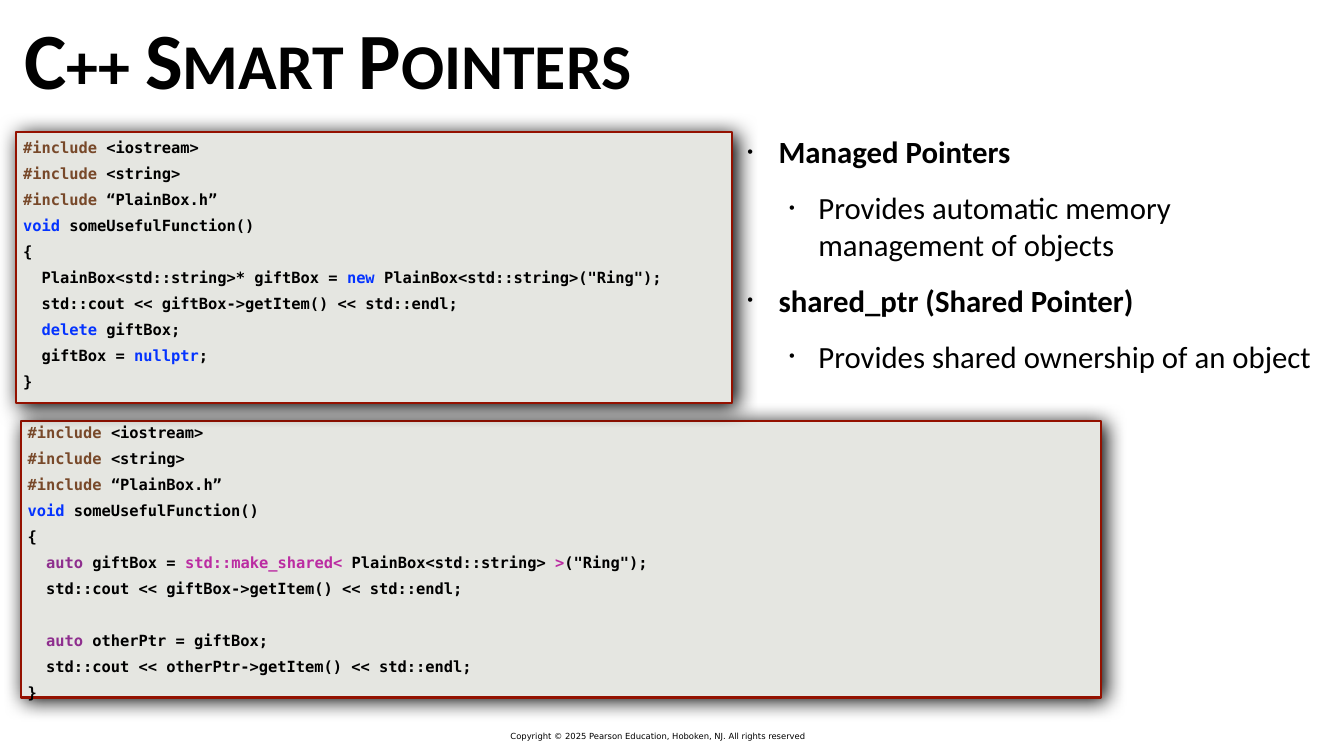
from dataclasses import dataclass

from lxml.etree import SubElement
from pptx import Presentation
from pptx.dml.color import RGBColor as Color
from pptx.enum.shapes import MSO_SHAPE as Preset
from pptx.enum.text import MSO_ANCHOR as Anchor, MSO_AUTO_SIZE as AutoSize, PP_ALIGN as Align
from pptx.oxml.ns import qn
from pptx.util import Pt


@dataclass(frozen=True)
class Theme:
    ink: str = "000000"
    directive: str = "78492A"
    keyword: str = "0433FF"
    auto: str = "8E2E8E"
    library: str = "BB2CA2"
    panel: str = "E5E6E1"
    border: str = "941100"
    text_font: str = "Calibri"
    code_font: str = "DejaVu Sans Mono"
    footer_font: str = "DejaVu Sans"
    title_size: int = 114
    body_size: int = 44
    code_size: int = 22
    footer_size: int = 12


THEME = Theme()
INSET = 5.76

HEADER = [
    [("#include ", THEME.directive), ("<iostream>", THEME.ink)],
    [("#include ", THEME.directive), ("<string>", THEME.ink)],
    [("#include ", THEME.directive), ("“PlainBox.h”", THEME.ink)],
    [("void ", THEME.keyword), ("someUsefulFunction()", THEME.ink)],
    [("{", THEME.ink)],
]
PRINT_GIFT = [("  std::cout << giftBox->getItem() << std::endl;", THEME.ink)]
FOOTER_BRACE = [("}", THEME.ink)]

RAW_POINTER_CODE = [
    *HEADER,
    [("  PlainBox<std::string>* giftBox = ", THEME.ink), ("new ", THEME.keyword),
     ('PlainBox<std::string>("Ring");', THEME.ink)],
    PRINT_GIFT,
    [("  delete ", THEME.keyword), ("giftBox;", THEME.ink)],
    [("  giftBox = ", THEME.ink), ("nullptr", THEME.keyword), (";", THEME.ink)],
    FOOTER_BRACE,
]
SHARED_POINTER_CODE = [
    *HEADER,
    [("  auto ", THEME.auto), ("giftBox = ", THEME.ink),
     ("std::make_shared< ", THEME.library), ("PlainBox<std::string> ", THEME.ink),
     (">", THEME.library), ('("Ring");', THEME.ink)],
    PRINT_GIFT,
    [],
    [("  auto ", THEME.auto), ("otherPtr = giftBox;", THEME.ink)],
    [("  std::cout << otherPtr->getItem() << std::endl;", THEME.ink)],
    FOOTER_BRACE,
]
BULLETS = [
    (0, "Managed Pointers"),
    (1, "Provides automatic memory management of objects"),
    (0, "shared_ptr (Shared Pointer)"),
    (1, "Provides shared ownership of an object"),
]


def apply(target, values):
    for name, value in values.items():
        setattr(target, name, value)


def place(box, left, top, width, height):
    apply(box, {"left": Pt(left), "top": Pt(top), "width": Pt(width), "height": Pt(height)})


def prepare_frame(box, anchor=Anchor.TOP, side=INSET, edge=INSET):
    frame = box.text_frame
    apply(frame, {
        "word_wrap": True, "auto_size": AutoSize.NONE, "vertical_anchor": anchor,
        "margin_left": Pt(side), "margin_right": Pt(side),
        "margin_top": Pt(edge), "margin_bottom": Pt(edge),
    })
    return frame


def add_span(para, text, font, size, color=THEME.ink, bold=False):
    span = para.add_run()
    span.text = text
    apply(span.font, {"name": font, "size": Pt(size), "bold": bold})
    span.font.color.rgb = Color.from_string(color)
    return span


def next_para(frame, index, gap):
    if index == 0:
        return frame.paragraphs[0]
    para = frame.add_paragraph()
    para.space_before = Pt(gap)
    return para


def add_panel(page, *area):
    panel = page.shapes.add_shape(Preset.RECTANGLE, *map(Pt, area))
    panel.fill.solid()
    panel.fill.fore_color.rgb = Color.from_string(THEME.panel)
    panel.line.color.rgb = Color.from_string(THEME.border)
    panel.line.width = Pt(3)
    panel.shadow.inherit = False
    effects = panel._element.spPr.find(qn("a:effectLst"))
    shadow = SubElement(effects, qn("a:outerShdw"), blurRad=str(Pt(30)),
                        dist=str(Pt(6)), dir=str(33 * 60000), rotWithShape="0")
    SubElement(shadow, qn("a:srgbClr"), val=THEME.ink)


def add_code(page, lines, *area):
    box = page.shapes.add_textbox(*map(Pt, area))
    frame = prepare_frame(box)
    for index, line in enumerate(lines):
        para = next_para(frame, index, 10.7)
        for text, color in line:
            add_span(para, text, THEME.code_font, THEME.code_size, color, True)
        if not line:
            end = SubElement(para._p, qn("a:endParaRPr"), sz=str(THEME.code_size * 100), b="1")
            SubElement(end, qn("a:latin"), typeface=THEME.code_font)


def fill_title(title, text):
    place(title, 28.8, 0, 1699.2, 164.88)
    para = prepare_frame(title, Anchor.MIDDLE).paragraphs[0]
    para.alignment = Align.LEFT
    span = add_span(para, text, THEME.text_font, THEME.title_size, bold=True)
    span.font._element.set("cap", "small")


def fill_bullets(body, items):
    place(body, 1062, 184.32, 843.12, 891.36)
    frame = prepare_frame(body)
    indents = [(44.64, -44.64), (101.52, -41.76)]
    for index, (level, text) in enumerate(items):
        para = next_para(frame, index, 27)
        para.level = level
        if index == 0:
            para.space_before = Pt(0)
        margin, indent = indents[level]
        props = para._p.get_or_add_pPr()
        props.set("marL", str(Pt(margin)))
        props.set("indent", str(Pt(indent)))
        SubElement(props, qn("a:buSzPct"), val="53000")
        SubElement(props, qn("a:buChar"), char="•")
        add_span(para, text, THEME.text_font, THEME.body_size, bold=level == 0)


def add_footer(page, text):
    box = page.shapes.add_textbox(Pt(729.36), Pt(1043.28), Pt(487.44), Pt(17.28))
    frame = prepare_frame(box, Anchor.MIDDLE, side=0, edge=1.44)
    add_span(frame.paragraphs[0], text, THEME.footer_font, THEME.footer_size)


def main():
    deck = Presentation()
    apply(deck, {"slide_width": Pt(1920.24), "slide_height": Pt(1080)})
    page = deck.slides.add_slide(deck.slide_layouts[1])
    fill_title(page.shapes.title, "C++ Smart Pointers")
    fill_bullets(page.placeholders[1], BULLETS)
    add_panel(page, 29.52, 601.2, 1543.68, 395.28)
    add_code(page, SHARED_POINTER_CODE, 33.84, 599.04, 1517.76, 419.76)
    add_panel(page, 23.04, 188.64, 1022.4, 387.36)
    add_code(page, RAW_POINTER_CODE, 27.36, 192.24, 1013.04, 382.32)
    add_footer(page, "Copyright © 2025 Pearson Education, Hoboken, NJ. All rights reserved")
    deck.save("out.pptx")


if __name__ == "__main__":
    main()
